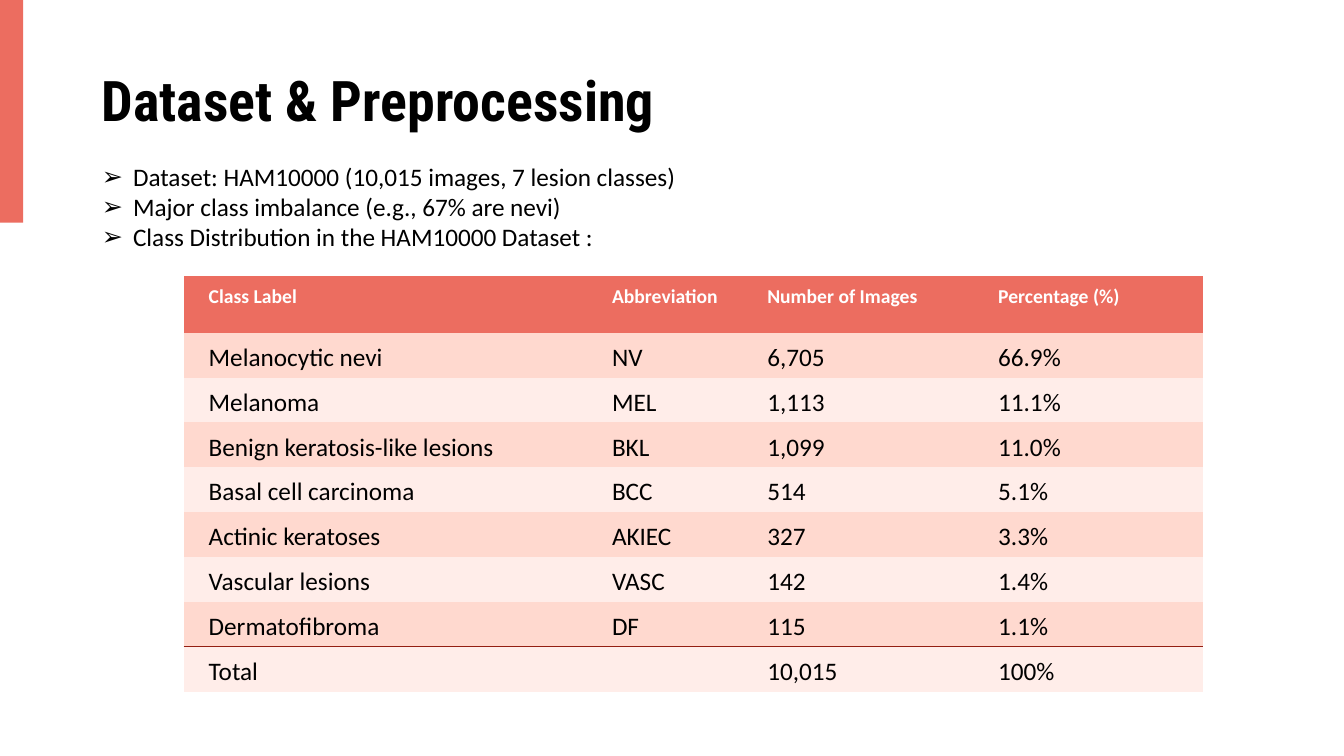
from dataclasses import dataclass

from lxml.etree import SubElement
from pptx import Presentation
from pptx.dml.color import RGBColor
from pptx.enum.shapes import MSO_SHAPE
from pptx.enum.text import MSO_ANCHOR, MSO_AUTO_SIZE, PP_ALIGN
from pptx.oxml import parse_xml
from pptx.oxml.ns import nsdecls, qn
from pptx.util import Pt

PX = 9144  # EMU per px, at 100 px to the inch
NO_STYLE = "{2D5ABB26-0587-4C30-8999-92F81FD0307C}"


@dataclass(frozen=True)
class Theme:
    accent: str = "EC6D60"
    band_dark: str = "FFD9CF"
    band_light: str = "FFEDE9"
    rule: str = "941E12"
    ink: str = "000000"
    paper: str = "FFFFFF"
    title_font: str = "Roboto Condensed"
    body_font: str = "Calibri"
    title_size: int = 40
    body_size: int = 18
    header_size: int = 14


THEME = Theme()

BULLETS = [
    "Dataset: HAM10000 (10,015 images, 7 lesion classes)",
    "Major class imbalance (e.g., 67% are nevi)",
    "Class Distribution in the HAM10000 Dataset :",
]
COLUMN_WIDTHS = [400, 154, 229, 228]
CLASS_ROWS = [
    ("Class Label", "Abbreviation", "Number of Images", "Percentage (%)"),
    ("Melanocytic nevi", "NV", "6,705", "66.9%"),
    ("Melanoma", "MEL", "1,113", "11.1%"),
    ("Benign keratosis-like lesions", "BKL", "1,099", "11.0%"),
    ("Basal cell carcinoma", "BCC", "514", "5.1%"),
    ("Actinic keratoses", "AKIEC", "327", "3.3%"),
    ("Vascular lesions", "VASC", "142", "1.4%"),
    ("Dermatofibroma", "DF", "115", "1.1%"),
    ("Total", "", "10,015", "100%"),
]


def px(n):
    return n * PX


def set_attrs(obj, values):
    for name, value in values.items():
        setattr(obj, name, value)


def place(sp, box):
    set_attrs(sp, dict(zip(("left", "top", "width", "height"), map(px, box))))


def fill(obj, color):
    obj.fill.solid()
    obj.fill.fore_color.rgb = RGBColor.from_string(color)


def add_text(p, text, color, **font):
    r = p.add_run()
    r.text = text
    set_attrs(r.font, font)
    r.font.color.rgb = RGBColor.from_string(color)


def indent(p, left, hanging=0):
    pPr = p._p.get_or_add_pPr()
    pPr.set("marL", str(px(left)))
    pPr.set("indent", str(px(-hanging)))
    return pPr


def add_accent_bar(s, box):
    sp = s.shapes.add_shape(MSO_SHAPE.RECTANGLE, *map(px, box))
    sp.shadow.inherit = False
    fill(sp, THEME.accent)
    sp.line.fill.background()


def add_title(s, box, text):
    sp = s.shapes.title
    place(sp, box)
    tf = sp.text_frame
    set_attrs(tf, {"vertical_anchor": MSO_ANCHOR.BOTTOM, "word_wrap": True,
                   "auto_size": MSO_AUTO_SIZE.NONE})
    p = tf.paragraphs[0]
    set_attrs(p, {"alignment": PP_ALIGN.LEFT, "line_spacing": 1.3})
    add_text(p, text, THEME.ink, name=THEME.title_font,
             size=Pt(THEME.title_size), bold=True)


def add_bullets(s, box, lines):
    sp = s.placeholders[1]
    place(sp, box)
    tf = sp.text_frame
    set_attrs(tf, {"word_wrap": True, "auto_size": MSO_AUTO_SIZE.SHAPE_TO_FIT_TEXT})
    for i, line in enumerate(lines):
        p = tf.add_paragraph() if i else tf.paragraphs[0]
        set_attrs(p, {"space_before": Pt(0), "line_spacing": 1.0})
        SubElement(indent(p, 31, 31), qn("a:buChar"), char="➢")
        add_text(p, line, THEME.ink, name=THEME.body_font, size=Pt(THEME.body_size))


def add_rule(cell, side):
    cell._tc.get_or_add_tcPr().insert(0, parse_xml(
        f'<a:{side} {nsdecls("a")} w="{Pt(1)}"><a:solidFill>'
        f'<a:srgbClr val="{THEME.rule}"/></a:solidFill></a:{side}>'))


def format_cell(cell, text, is_header, band):
    margins = ("margin_left", "margin_right", "margin_top", "margin_bottom")
    set_attrs(cell, dict.fromkeys(margins, px(5)))
    fill(cell, band)
    p = cell.text_frame.paragraphs[0]
    p.line_spacing = 1.15
    indent(p, 20)
    if text:
        add_text(p, text, THEME.paper if is_header else THEME.ink,
                 name=THEME.body_font, bold=is_header,
                 size=Pt(THEME.header_size if is_header else THEME.body_size))


def add_class_table(s, box, rows, widths, header_height):
    table = s.shapes.add_table(len(rows), len(widths), *map(px, box)).table
    table._tbl.tblPr.find(qn("a:tableStyleId")).text = NO_STYLE
    for col, width in zip(table.columns, widths):
        col.width = px(width)
    row_height = (box[3] - header_height) // (len(rows) - 1)
    total = len(rows) - 1
    for i, values in enumerate(rows):
        table.rows[i].height = px(row_height if i else header_height)
        band = THEME.band_dark if i % 2 else THEME.band_light
        for j, text in enumerate(values):
            cell = table.cell(i, j)
            format_cell(cell, text, i == 0, band if i else THEME.accent)
            # Rule between the classes and the total
            if i == total - 1:
                add_rule(cell, "lnB")
            elif i == total:
                add_rule(cell, "lnT")


def build_dataset_slide(prs, box):
    x, y, w, h = box
    s = prs.slides.add_slide(prs.slide_layouts[1])
    # Accent at the slide edge
    add_accent_bar(s, (x, y, 23, 221))
    # Heading and key facts
    add_title(s, (x + 91, y + 35, 866, 102), "Dataset & Preprocessing")
    add_bullets(s, (x + 91, y + 155, 763, 101), BULLETS)
    # Class distribution
    add_class_table(s, (x + 182, y + 274, sum(COLUMN_WIDTHS), 360),
                    CLASS_ROWS, COLUMN_WIDTHS, 56)


def main():
    prs = Presentation()
    set_attrs(prs, {"slide_width": px(1333), "slide_height": px(750)})
    build_dataset_slide(prs, (0, 0, 1333, 750))
    prs.save("out.pptx")


if __name__ == "__main__":
    main()
